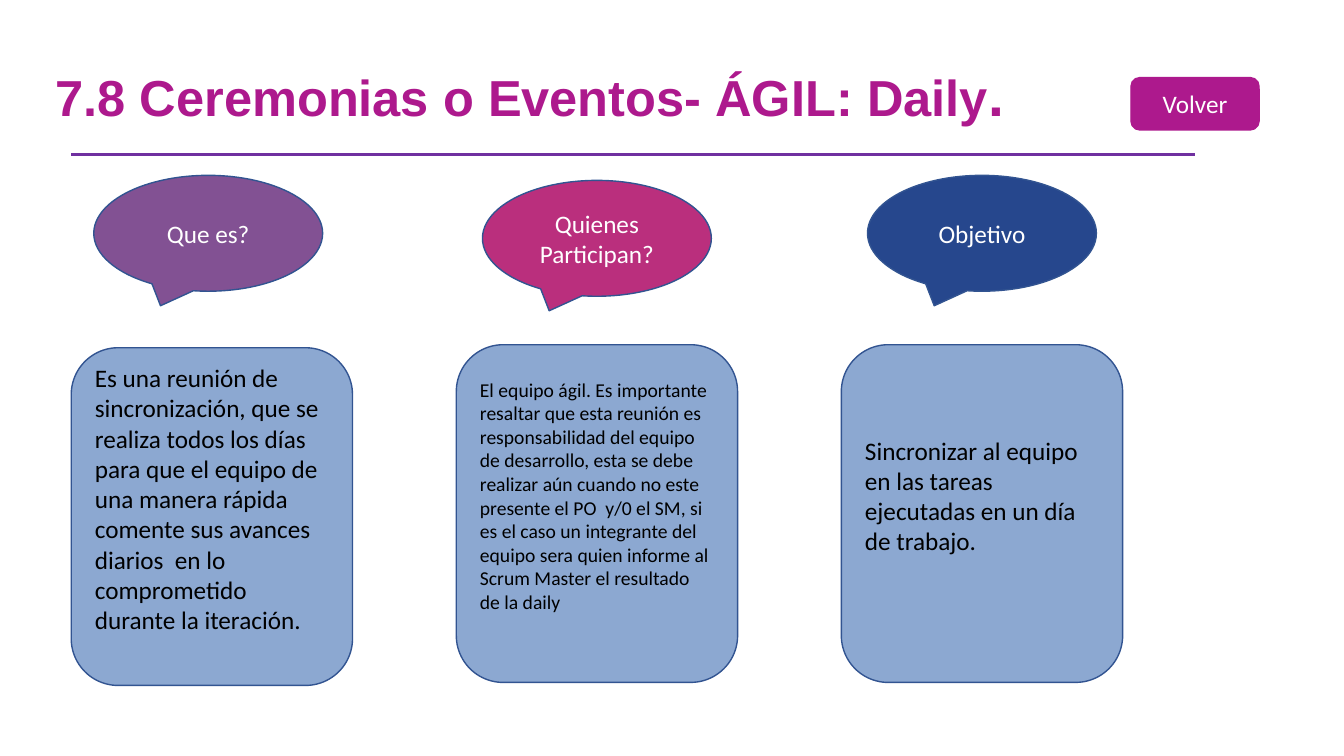
from pptx import Presentation
from pptx.dml.color import RGBColor
from pptx.enum.shapes import MSO_CONNECTOR, MSO_SHAPE
from pptx.enum.text import MSO_ANCHOR, MSO_AUTO_SIZE, PP_ALIGN
from pptx.oxml.ns import qn
from pptx.util import Inches, Pt
from lxml import etree

BUBBLE = MSO_SHAPE.OVAL_CALLOUT
CARD = MSO_SHAPE.FLOWCHART_ALTERNATE_PROCESS
BUTTON = MSO_SHAPE.ROUNDED_RECTANGLE
STRAIGHT = MSO_CONNECTOR.STRAIGHT
MIDDLE = MSO_ANCHOR.MIDDLE
FIXED = MSO_AUTO_SIZE.NONE
LEFT, CENTER = PP_ALIGN.LEFT, PP_ALIGN.CENTER

COLORS = {
    "magenta": "AD198D", "rule": "7030A0", "edge": "325491",
    "purple": "825193", "pink": "BA2F7D", "navy": "26478D",
    "card": "8CA8D1", "white": "FFFFFF", "black": "000000",
}
FIRST, PITCH = 5.3, 28.65

TOPICS = [
    ("Que es?", "purple", 6.98, 23.2, 46,
     "Es una reunión de sincronización, que se realiza todos los días para "
     "que el equipo de una manera rápida comente sus avances diarios  en lo "
     "comprometido durante la iteración.", 18),
    ("Quienes Participan?", "pink", 35.9, 23.87, 45.6,
     "El equipo ágil. Es importante resaltar que esta reunión es "
     "responsabilidad del equipo de desarrollo, esta se debe realizar aún "
     "cuando no este presente el PO  y/0 el SM, si es el caso un integrante "
     "del equipo sera quien informe al Scrum Master el resultado de la daily", 14),
    ("Objetivo", "navy", 64.55, 23.2, 45.6,
     "Sincronizar al equipo en las tareas ejecutadas en un día de trabajo.", 18),
]


def rgb(name):
    return RGBColor.from_string(COLORS[name])


class Deck:
    def __init__(self):
        self.prs = Presentation()
        self.prs.slide_width = Inches(13.33)
        self.prs.slide_height = Inches(7.5)
        self.slide = self.prs.slides.add_slide(self.prs.slide_layouts[5])

    def place(self, x, y, w, h):
        wide, high = self.prs.slide_width, self.prs.slide_height
        return [int(share * side / 100)
                for share, side in zip((x, y, w, h), (wide, high, wide, high))]

    def style(self, par, face, size, color, align, bold=False):
        par.alignment = align
        par.font.name = face
        par.font.size = Pt(size)
        par.font.bold = bold
        par.font.color.rgb = rgb(color)

    def title(self, text, mark, box):
        head = self.slide.shapes.title
        head.left, head.top, head.width, head.height = self.place(*box)
        frame = head.text_frame
        frame.auto_size = FIXED
        frame.word_wrap = True
        frame.vertical_anchor = MIDDLE
        par = frame.paragraphs[0]
        par.add_run().text = text
        dot = par.add_run()
        dot.text = mark
        dot.font.size = Pt(40.7)
        par.line_spacing = 0.7
        self.style(par, "Arial", 36.1, "magenta", LEFT, True)

    def rule(self, x, y, end):
        left, top, right, _ = self.place(x, y, end, 0)
        line = self.slide.shapes.add_connector(STRAIGHT, left, top, right, top)
        line.line.color.rgb = rgb("rule")
        line.line.width = Pt(2.25)
        etree.SubElement(line._element.spPr, qn("a:effectLst"))

    def shape(self, kind, box, fill, edge, text, size=18, ink="white", align=CENTER):
        item = self.slide.shapes.add_shape(kind, *self.place(*box))
        item.shadow.inherit = False
        item.fill.solid()
        item.fill.fore_color.rgb = rgb(fill)
        item.line.color.rgb = rgb(edge)
        item.line.width = Pt(1)
        frame = item.text_frame
        frame.word_wrap = True
        frame.vertical_anchor = MIDDLE
        frame.text = text
        self.style(frame.paragraphs[0], "Calibri", size, ink, align)
        return frame

    def card(self, box, text, size):
        frame = self.shape(CARD, box, "card", "edge", text, size, "black", LEFT)
        frame.margin_top = 0
        frame.margin_bottom = Inches(0.36)


def main():
    deck = Deck()
    deck.title("7.8 Ceremonias o Eventos- ÁGIL: Daily", ".", (3.38, 9.47, 87.5, 8.13))
    deck.rule(FIRST, 20.4, 88.9)
    for col, (name, color, x, y, top, text, size) in enumerate(TOPICS):
        deck.shape(BUBBLE, (x, y, 17.03, 15.33), color, "edge", name)
        deck.card((FIRST + col * PITCH, top, 20.93, 44.67), text, size)
    deck.shape(BUTTON, (84.15, 10.27, 9.53, 6.93), "magenta", "magenta", "Volver")
    deck.prs.save("out.pptx")


if __name__ == "__main__":
    main()
